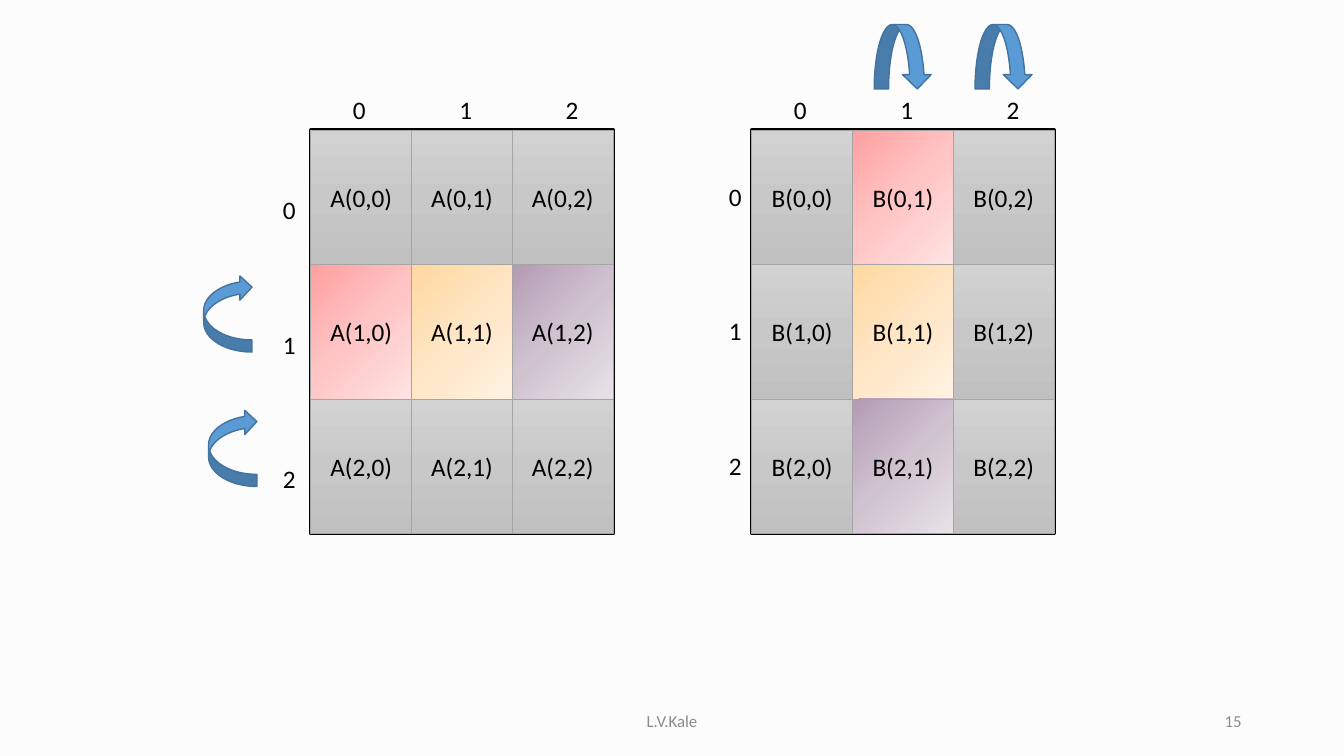
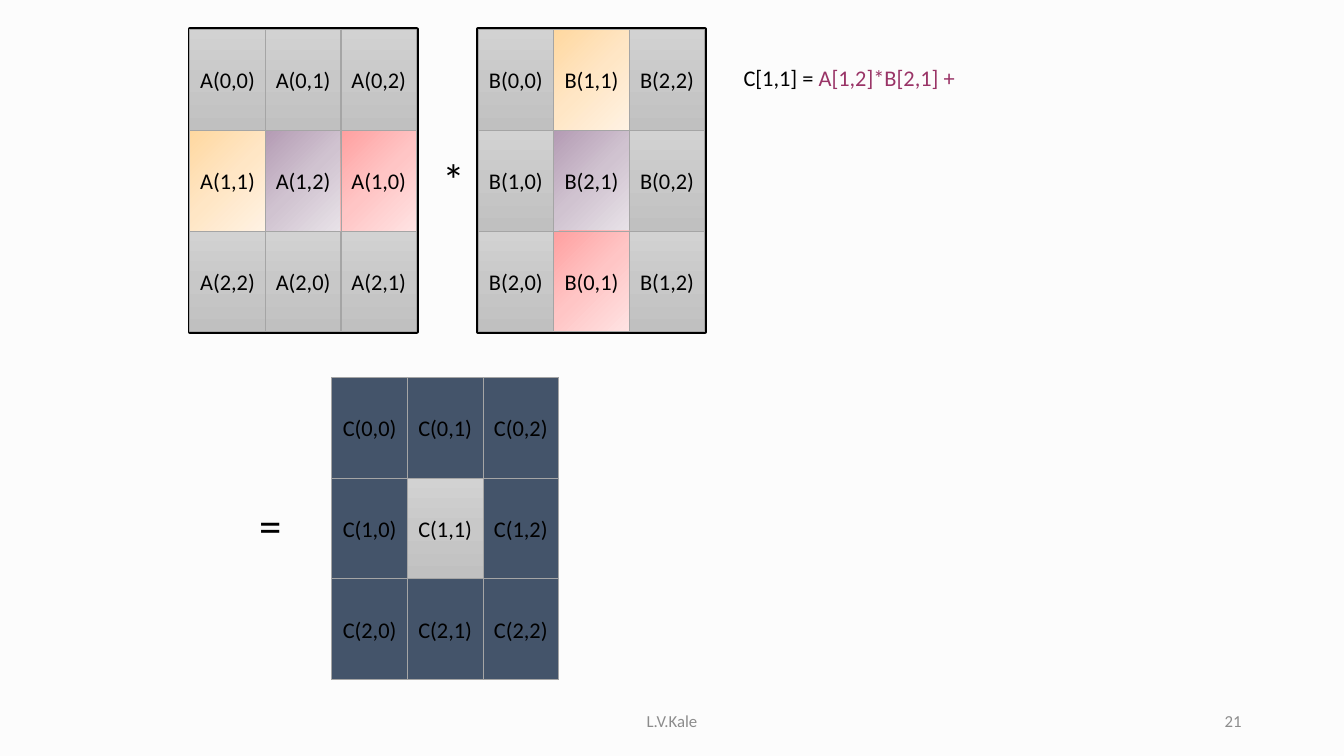
"""Build two slides on shifting blocks for a matrix product."""
from copy import deepcopy
from dataclasses import dataclass
from itertools import product

from pptx import Presentation
from pptx.dml.color import RGBColor
from pptx.enum.shapes import MSO_SHAPE as Shape
from pptx.enum.text import MSO_ANCHOR as Anchor, MSO_AUTO_SIZE as AutoSize, PP_ALIGN as Align
from pptx.oxml.ns import qn
from pptx.util import Pt


@dataclass(frozen=True)
class Theme:
    """Colours and type sizes that both slides share."""
    font: str = "Calibri"
    background: str = "FCFCFC"
    white: str = "FFFFFF"
    ink: str = "000000"
    muted: str = "8C8C8C"
    accent: str = "993366"
    edge: str = "A5A5A5"
    slate: str = "44546A"
    arrow: str = "5B9BD5"
    arrow_edge: str = "43739E"
    grey: tuple = ("D2D2D2", "C8C8C8", "C0C0C0")
    red: tuple = ("FFA0A0", "FFC5C5", "FFE3E3")
    orange: tuple = ("FFD8A0", "FFE6C5", "FFF2E3")
    purple: tuple = ("B49BB4", "D0C3D0", "E8E2E8")
    large: int = 18
    medium: int = 16
    small: int = 12
    symbol: int = 32


THEME = Theme()
SIZE = 3
HIGHLIGHTS = {
    "A(1,0)": THEME.red, "A(1,1)": THEME.orange, "A(1,2)": THEME.purple,
    "B(0,1)": THEME.red, "B(1,1)": THEME.orange, "B(2,1)": THEME.purple,
    "C(1,1)": THEME.grey,
}


def rgb(code):
    """Turn a hex code into a colour."""
    return RGBColor.from_string(code)


def paint(shape, fill, edge, weight):
    """Give a shape a solid or three-stop fill and an outline."""
    shape.shadow.inherit = False
    shape.line.color.rgb = rgb(edge)
    shape.line.width = Pt(weight)
    if isinstance(fill, str):
        shape.fill.solid()
        shape.fill.fore_color.rgb = rgb(fill)
        return
    shape.fill.gradient()
    shape.fill.gradient_angle = 270 if fill == THEME.grey else 315
    stops = shape.element.spPr.find(qn("a:gradFill")).find(qn("a:gsLst"))
    stops.append(deepcopy(stops[0]))
    for stop, code, position in zip(shape.fill.gradient_stops, fill, (0, 0.5, 1)):
        stop.color.rgb = rgb(code)
        stop.position = position


def write(frame, runs, size, align=Align.LEFT):
    """Fill a text frame with one paragraph of (text, colour) runs."""
    para = frame.paragraphs[0]
    para.alignment = align
    para.font.name = THEME.font
    para.font.size = Pt(size)
    for text, color in runs:
        span = para.add_run()
        span.text = text
        span.font.color.rgb = rgb(color)


def add_rect(shapes, left, top, width, height, fill, edge, weight):
    """Draw a painted rectangle."""
    rect = shapes.add_shape(Shape.RECTANGLE, Pt(left), Pt(top), Pt(width), Pt(height))
    paint(rect, fill, edge, weight)
    return rect


def add_text(slide, left, top, width, height, runs, size, wrap=True):
    """Place a text box that grows with its text."""
    box = slide.shapes.add_textbox(Pt(left), Pt(top), Pt(width), Pt(height))
    box.text_frame.word_wrap = wrap
    box.text_frame.auto_size = AutoSize.SHAPE_TO_FIT_TEXT
    write(box.text_frame, runs, size)


def add_matrix(slide, name, left, top, width, height, size, base=THEME.grey,
               frame=(THEME.white, THEME.ink, 3), row_skew=0, column_skew=0):
    """Draw a grouped matrix, its blocks shifted cyclically by the skews."""
    shapes = slide.shapes.add_group_shape().shapes
    add_rect(shapes, left, top, SIZE * width, SIZE * height, *frame)
    for row, column in product(range(SIZE), repeat=2):
        block_row = (row + column_skew * column) % SIZE
        block_column = (column + row_skew * row) % SIZE
        label = f"{name}({block_row},{block_column})"
        cell = add_rect(shapes, left + column * width, top + row * height, width, height,
                        HIGHLIGHTS.get(label, base), THEME.edge, 0.5)
        text = cell.text_frame
        text.margin_left = text.margin_right = 0
        text.vertical_anchor = Anchor.MIDDLE
        write(text, [(label, THEME.ink)], size, Align.CENTER)


def add_indices(slide, left, top, step_x, step_y):
    """Number the rows or columns of a matrix."""
    for index in range(SIZE):
        add_text(slide, left + index * step_x, top + index * step_y, 24, 29,
                 [(str(index), THEME.ink)], THEME.large, wrap=False)


def add_shift_arrow(slide, left, top, width, height, rotation=0):
    """Draw a curved arrow for a cyclic shift."""
    arrow = slide.shapes.add_shape(Shape.CURVED_RIGHT_ARROW,
                                   Pt(left), Pt(top), Pt(width), Pt(height))
    paint(arrow, THEME.arrow, THEME.arrow_edge, 1)
    arrow.rotation = rotation
    arrow.element.spPr.find(qn("a:xfrm")).set("flipV", "1")


def add_footer(slide, number):
    """Write the author and the page number at the foot."""
    for left, width, text, align in ((318, 324, "L.V.Kale", Align.CENTER),
                                     (678, 216, str(number), Align.RIGHT)):
        box = slide.shapes.add_textbox(Pt(left), Pt(500.5), Pt(width), Pt(29))
        box.text_frame.word_wrap = True
        box.text_frame.vertical_anchor = Anchor.MIDDLE
        write(box.text_frame, [(text, THEME.muted)], THEME.small, align)


def add_slide(deck, number):
    """Add a blank slide with the shared footer."""
    slide = deck.slides.add_slide(deck.slide_layouts.get_by_name("Blank"))
    add_footer(slide, number)
    return slide


def build_shift_slide(deck):
    """Show both matrices with the shifts about to happen."""
    slide = add_slide(deck, 15)
    top, width, height = 93, 72, 96
    for name, left, index_left, index_top in (("A", 222, 195, 135.5), ("B", 537, 513.5, 126)):
        add_matrix(slide, name, left, top, width, height, THEME.large)
        add_indices(slide, index_left, index_top, 0, height)
        add_indices(slide, left + 23, top - 29.5, 76, 0)
    for left, arrow_top in ((145.5, 196.5), (149, 292.5)):
        add_shift_arrow(slide, left, arrow_top, 34.5, 55)
    for left in (622, 694):
        add_shift_arrow(slide, left, 20, 46, 41, rotation=90)


def build_product_slide(deck):
    """Show the shifted matrices and the partial product."""
    slide = add_slide(deck, 21)
    cell = (54, 72, THEME.medium)
    add_matrix(slide, "A", 135.5, 21, *cell, row_skew=1)
    add_matrix(slide, "B", 341.5, 21, *cell, column_skew=1)
    add_matrix(slide, "C", 237, 269.5, *cell, base=THEME.slate,
               frame=(THEME.grey, THEME.edge, 0.5))
    add_text(slide, 524, 42, 276, 27,
             [("C[1,1] = ", THEME.ink), ("A[1,2]*B[2,1] +", THEME.accent)], THEME.medium)
    for symbol, left, top in (("*", 309, 104.5), ("=", 178, 352)):
        add_text(slide, left, top, 19, 46, [(symbol, THEME.ink)], THEME.symbol)


def main():
    """Build and save the deck."""
    deck = Presentation()
    deck.slide_width, deck.slide_height = Pt(960), Pt(540)
    background = deck.slide_master.background.fill
    background.solid()
    background.fore_color.rgb = rgb(THEME.background)
    build_shift_slide(deck)
    build_product_slide(deck)
    deck.save("out.pptx")


if __name__ == "__main__":
    main()
